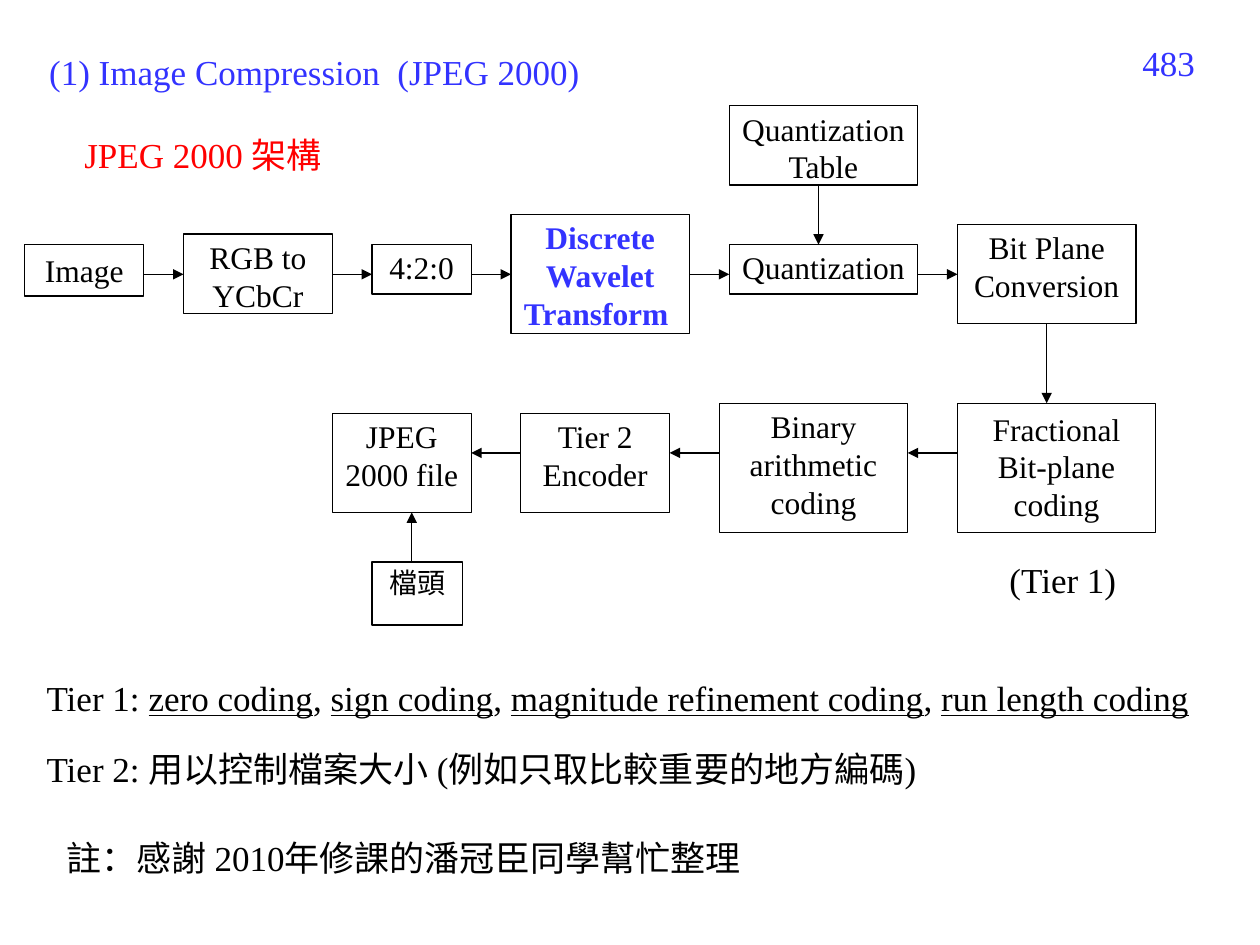
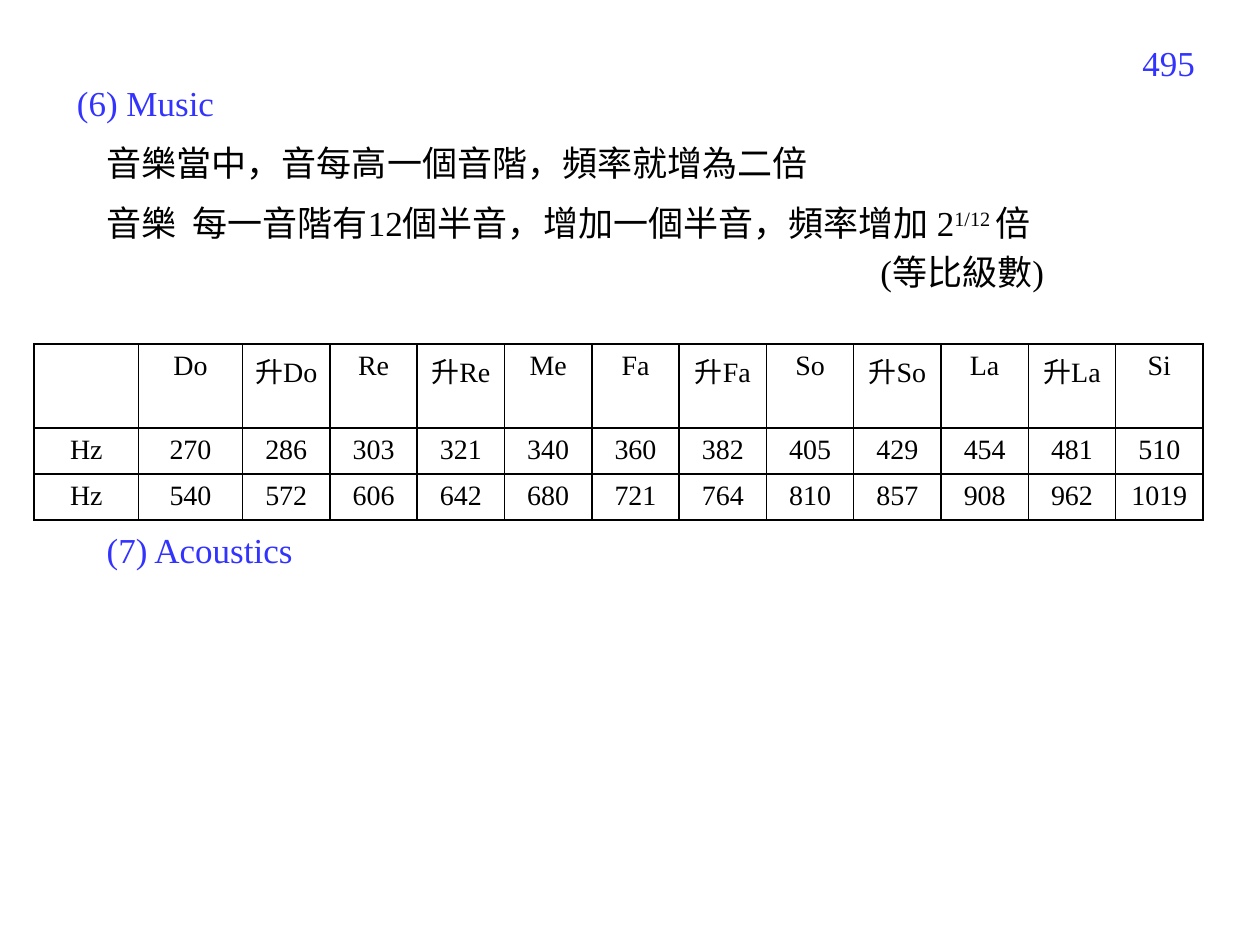
from lxml import etree
from pptx import Presentation
from pptx.dml.color import RGBColor
from pptx.enum.shapes import MSO_CONNECTOR, MSO_SHAPE
from pptx.enum.text import MSO_ANCHOR, MSO_AUTO_SIZE, PP_ALIGN
from pptx.oxml.ns import qn
from pptx.util import Cm, Pt

LEFT, CENTER, RIGHT = PP_ALIGN.LEFT, PP_ALIGN.CENTER, PP_ALIGN.RIGHT
TOP, MIDDLE = MSO_ANCHOR.TOP, MSO_ANCHOR.MIDDLE
NO_AUTOFIT = MSO_AUTO_SIZE.NONE
RECTANGLE = MSO_SHAPE.RECTANGLE
STRAIGHT = MSO_CONNECTOR.STRAIGHT

FONT = "Times New Roman"
BLACK, WHITE, BLUE, RED = "000000", "FFFFFF", "3333FF", "FF0000"
TITLE_ONLY = 5
TEXT_SIZE, BOX_SIZE, CELL_SIZE = 20, 18, 16
LINE_WIDTH = 0.75
BOX_INSETS = (0.15, 0.08)
TEXT_INSETS = (0.25, 0.13)
LINE_HEIGHT = 1.1

ENCODER_LEFT, ENCODER_GAP, ENCODER_ARROW_Y = 0.5, 0.8, 5.53
ENCODER_STEPS = [
    ("Image", 2.4, 4.93, 1.04, {"insets": (0.15, 0.13)}),
    ("RGB to YCbCr", 3, 4.72, 1.6, {}),
    ("4:2:0", 2, 4.93, 1, {}),
    ("Discrete Wavelet Transform ", 3.6, 4.32, 2.4, {"color": BLUE, "bold": True}),
    ("Quantization", 3.8, 4.93, 1, {}),
    ("Bit Plane Conversion", 3.6, 4.52, 2, {}),
]
CODING_LEFT, CODING_GAP, CODING_ARROW_Y = 6.7, 1, 9.13
CODING_STEPS = [
    ("JPEG 2000 file", 2.8, 8.33, 2, {}),
    ("Tier 2 Encoder", 3, 8.33, 2, {}),
    ("Binary arithmetic coding", 3.8, 8.13, 2.6, {}),
    ("Fractional\nBit-plane coding", 4, 8.13, 2.6, {"insets": TEXT_INSETS}),
]
TIER_1_CODINGS = ["zero coding", "sign coding", "magnitude refinement coding", "run length coding"]

NOTES = ["Do", "升Do", "Re", "升Re", "Me", "Fa", "升Fa", "So", "升So", "La", "升La", "Si"]
FREQUENCIES = [
    [270, 286, 303, 321, 340, 360, 382, 405, 429, 454, 481, 510],
    [540, 572, 606, 642, 680, 721, 764, 810, 857, 908, 962, 1019],
]


def rgb(value):
    return RGBColor.from_string(value)


def set_values(target, values):
    for name, value in values.items():
        setattr(target, name, value)


def add_run(paragraph, text, size=TEXT_SIZE, color=BLACK, superscript=False, **font_values):
    run = paragraph.add_run()
    run.text = text
    set_values(run.font, {"name": FONT, "size": Pt(size), **font_values})
    run.font.color.rgb = rgb(color)
    if superscript:
        run.font._element.set("baseline", "30000")


def write_text(shape, text, alignment=LEFT, anchor=TOP, insets=TEXT_INSETS, **run_values):
    horizontal, vertical = map(Cm, insets)
    frame = shape.text_frame
    set_values(frame, {
        "word_wrap": True, "auto_size": NO_AUTOFIT, "vertical_anchor": anchor,
        "margin_left": horizontal, "margin_right": horizontal,
        "margin_top": vertical, "margin_bottom": vertical,
    })
    for index, line in enumerate(text.split("\n")):
        paragraph = frame.add_paragraph() if index else frame.paragraphs[0]
        paragraph.alignment = alignment
        if line:
            add_run(paragraph, line, **run_values)


def add_text(slide, text, left, top, width, height=LINE_HEIGHT, **values):
    shape = slide.shapes.add_textbox(Cm(left), Cm(top), Cm(width), Cm(height))
    write_text(shape, text, **values)
    return shape.text_frame.paragraphs[0]


def add_slide(presentation, title, left, top, width, number):
    slide = presentation.slides.add_slide(presentation.slide_layouts[TITLE_ONLY])
    set_values(slide.shapes.title, {
        "left": Cm(left), "top": Cm(top), "width": Cm(width), "height": Cm(LINE_HEIGHT),
    })
    write_text(slide.shapes.title, title, color=BLUE)
    add_text(slide, number, 22.1, 0.71, 2.24, 1.32, alignment=RIGHT, color=BLUE)
    return slide


def add_box(slide, text, left, top, width, height, size=BOX_SIZE, insets=BOX_INSETS, **values):
    shape = slide.shapes.add_shape(RECTANGLE, Cm(left), Cm(top), Cm(width), Cm(height))
    shape.shadow.inherit = False
    shape.fill.solid()
    shape.fill.fore_color.rgb = rgb(WHITE)
    shape.line.color.rgb = rgb(BLACK)
    shape.line.width = Pt(LINE_WIDTH)
    write_text(shape, text, alignment=CENTER, insets=insets, size=size, **values)


def add_arrow(slide, start_x, start_y, end_x, end_y):
    points = map(Cm, (start_x, start_y, end_x, end_y))
    connector = slide.shapes.add_connector(STRAIGHT, *points)
    connector.line.color.rgb = rgb(BLACK)
    connector.line.width = Pt(LINE_WIDTH)
    line = connector.line._get_or_add_ln()
    etree.SubElement(line, qn("a:tailEnd"), type="triangle")
    etree.SubElement(connector._element.spPr, qn("a:effectLst"))


def add_flow(slide, steps, left, gap, arrow_y, backward=False):
    for index, (text, width, top, height, values) in enumerate(steps):
        add_box(slide, text, left, top, width, height, **values)
        if index:
            ends = (left, left - gap) if backward else (left - gap, left)
            add_arrow(slide, ends[0], arrow_y, ends[1], arrow_y)
        left += width + gap


def add_borders(cell):
    properties = cell._tc.get_or_add_tcPr()
    for index, side in enumerate(("a:lnL", "a:lnR", "a:lnT", "a:lnB")):
        border = etree.Element(qn(side), w=str(Pt(1)))
        fill = etree.SubElement(border, qn("a:solidFill"))
        etree.SubElement(fill, qn("a:srgbClr"), val=BLACK)
        properties.insert(index, border)


def add_grid(slide, rows, left, top, widths, row_height):
    frame = slide.shapes.add_table(
        len(rows), len(widths), Cm(left), Cm(top), Cm(sum(widths)), Cm(row_height * len(rows)))
    table = frame.table
    set_values(table, {"first_row": False, "horz_banding": False})
    for column, width in zip(table.columns, widths):
        column.width = Cm(width)
    for row, values in zip(table.rows, rows):
        row.height = Cm(row_height)
        for cell, value in zip(row.cells, values):
            cell.fill.background()
            add_borders(cell)
            if value:
                paragraph = cell.text_frame.paragraphs[0]
                paragraph.alignment = CENTER
                add_run(paragraph, str(value), size=CELL_SIZE)


def build_compression(presentation):
    slide = add_slide(presentation, "(1) Image Compression  (JPEG 2000)", 0.74, 0.89, 16.4, "483")
    add_text(slide, "JPEG 2000 架構", 1.45, 2.57, 6.6, color=RED)
    add_flow(slide, ENCODER_STEPS, ENCODER_LEFT, ENCODER_GAP, ENCODER_ARROW_Y)
    add_flow(slide, CODING_STEPS, CODING_LEFT, CODING_GAP, CODING_ARROW_Y, backward=True)
    add_box(slide, "Quantization Table", 14.7, 2.13, 3.8, 1.6)
    add_box(slide, "檔頭", 7.5, 11.33, 1.83, 1.27, size=16)
    add_arrow(slide, 16.5, 3.73, 16.5, 4.93)
    add_arrow(slide, 21.1, 6.52, 21.1, 8.13)
    add_arrow(slide, 8.3, 11.33, 8.3, 10.33)
    add_text(slide, "(Tier 1)", 20.1, 11.13, 2.8)
    paragraph = add_text(slide, "Tier 1: ", 0.69, 13.51, 23.8)
    for index, coding in enumerate(TIER_1_CODINGS):
        if index:
            add_run(paragraph, ", ")
        add_run(paragraph, coding, underline=True)
    add_text(slide, "Tier 2: 用以控制檔案大小 (例如只取比較重要的地方編碼)", 0.69, 14.94, 23.8)
    add_text(slide, "註：感謝 2010年修課的潘冠臣同學幫忙整理", 1.09, 16.74, 14.6)


def build_music(presentation):
    slide = add_slide(presentation, "(6) Music", 1.3, 1.52, 15, "495")
    add_text(slide, "音樂當中，音每高一個音階，頻率就增為二倍", 1.9, 2.72, 16.6)
    paragraph = add_text(
        slide, "音樂  每一音階有12個半音，增加一個半音，頻率增加 2", 1.9, 3.94, 19.45, anchor=MIDDLE)
    add_run(paragraph, "1/12 ", superscript=True)
    add_run(paragraph, "倍")
    add_text(slide, "(等比級數)", 17.5, 4.93, 5.2)
    rows = [["", *NOTES]] + [["Hz", *values] for values in FREQUENCIES]
    widths = [2.1] * 2 + [1.76] * (len(NOTES) - 1)
    add_grid(slide, rows, 0.69, 6.93, widths, 0.93)
    add_text(slide, "(7) Acoustics", 1.9, 10.52, 15, color=BLUE)


def main():
    presentation = Presentation()
    presentation.slide_width, presentation.slide_height = Cm(25.4), Cm(19.05)
    build_compression(presentation)
    build_music(presentation)
    presentation.save("out.pptx")


main()
